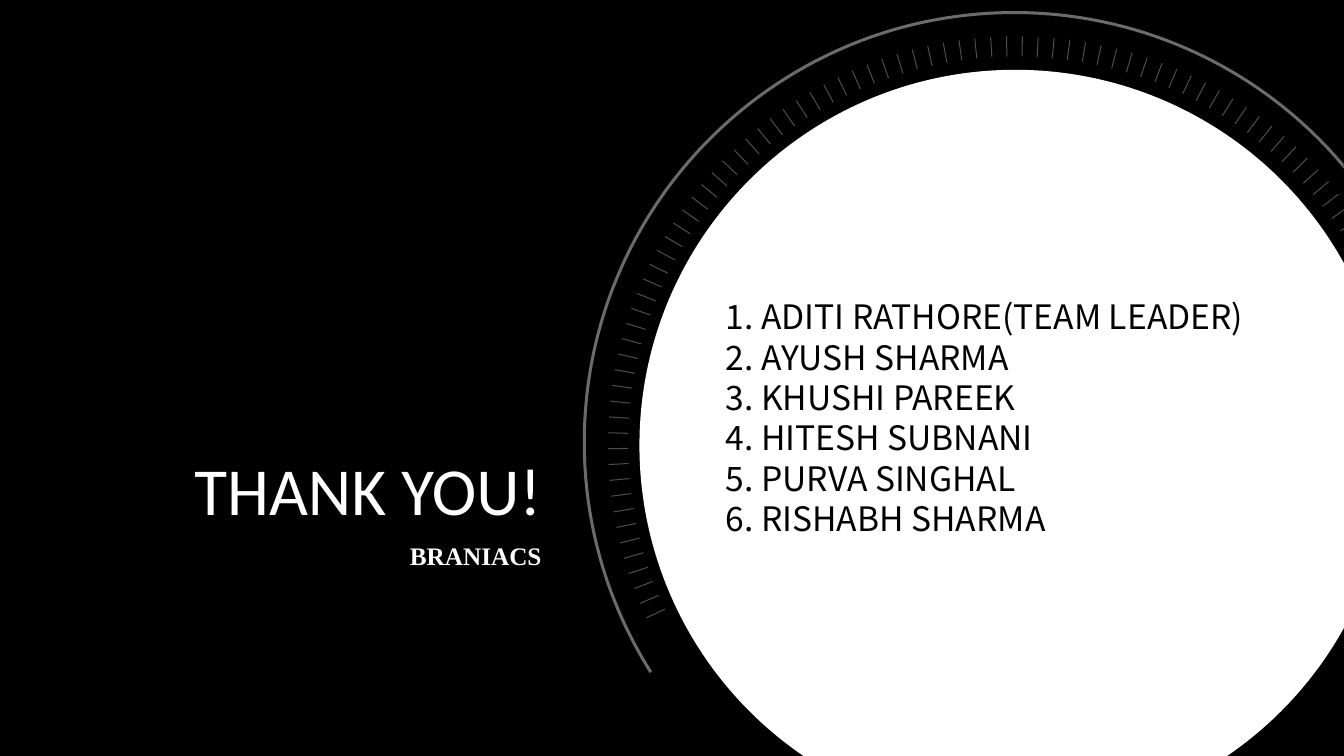
"""Build a closing slide with a thank-you title and a team list in a large dial."""
import math

import pptx
import pptx.dml.color
import pptx.enum.shapes
import pptx.enum.text
import pptx.oxml.ns
import pptx.util
from lxml import etree

Inches = pptx.util.Inches
Pt = pptx.util.Pt
qn = pptx.oxml.ns.qn
ALIGN = pptx.enum.text.PP_ALIGN
ANCHOR = pptx.enum.text.MSO_ANCHOR

WIDTH, HEIGHT = 13.33, 7.5
BLACK, WHITE = "000000", "FFFFFF"
TEAM = [
    "1. ADITI RATHORE(TEAM LEADER)",
    "2. AYUSH SHARMA",
    "3. KHUSHI PAREEK",
    "4. HITESH SUBNANI",
    "5. PURVA SINGHAL",
    "6. RISHABH SHARMA",
]
TITLE = dict(lines=["THANK YOU!"], box=(0.53, 2.23, 4.94, 3.08), font="Calibri", size=48,
             color=WHITE, align=ALIGN.RIGHT, anchor=ANCHOR.BOTTOM, spacing=0.9)
SUBTITLE = dict(lines=["BRANIACS"], box=(0.53, 5.31, 4.94, 1), font="Times New Roman", size=18,
                color=WHITE, align=ALIGN.RIGHT, bold=True)
MEMBERS = dict(lines=TEAM, box=(7.1, 2.89, 6.6, 2.52), font="Noto Sans CJK JP", size=24,
               color=BLACK)

DISC = dict(center=(10.07, 4.42),
            arcs=[(3.7, [-147.04, -90, 0, 62.5]), (3.7, [117.4, 147.03])])
RING = dict(center=(10.06, 4.39),
            arcs=[(4.28, [-122.3, -90, 0, 49.75]), (4.25, [50.27, 0, -90, -122.3])])
TICKS = dict(center=(10.08, 4.41), outer=4.05, inner=3.85, first=0.85, step=2.23,
             indexes=range(-52, 26))


def rgb(color):
    return pptx.dml.color.RGBColor.from_string(color)


def paint(fill, color, opacity=100):
    fill.solid()
    fill.fore_color.rgb = rgb(color)
    if opacity < 100:
        element = fill._xPr.find(".//" + qn("a:srgbClr"))
        etree.SubElement(element, qn("a:alpha"), val=str(opacity * 1000))


def polar(center, radius, degrees):
    angle = math.radians(degrees)
    return center[0] + radius * math.sin(angle), center[1] - radius * math.cos(angle)


def curve(center, radius, start, end):
    """Return the two control points and the end point of one Bezier arc."""
    sweep = math.radians(end - start)
    reach = 4 / 3 * math.tan(sweep / 4)
    stretched = radius * math.hypot(1, reach)
    turn = math.degrees(math.atan(reach))
    return [polar(center, stretched, start + turn), polar(center, stretched, end - turn),
            polar(center, radius, end)]


def add_outline(slide, center, arcs, opacity=100):
    corners, curves = [], []
    for radius, angles in arcs:
        corners += [polar(center, radius, angle) for angle in angles]
        curves += [None] + [curve(center, radius, *pair) for pair in zip(angles, angles[1:])]
    corners = [(Inches(x), Inches(y)) for x, y in corners]
    builder = slide.shapes.build_freeform(*corners[0])
    builder.add_line_segments(corners[1:], close=True)
    shape = builder.convert_to_shape()
    segments = list(shape._element.iter(qn("a:lnTo")))
    for segment, points in zip(segments, curves[1:]):
        if points:
            bezier = etree.Element(qn("a:cubicBezTo"))
            for x, y in points:
                etree.SubElement(bezier, qn("a:pt"), x=str(Inches(x) - shape.left),
                                 y=str(Inches(y) - shape.top))
            segment.getparent().replace(segment, bezier)
    shape.shadow.inherit = False
    paint(shape.fill, WHITE, opacity)
    shape.line.fill.background()
    return shape


def add_ticks(slide):
    group = slide.shapes.add_group_shape()
    for index in TICKS["indexes"]:
        angle = TICKS["first"] + TICKS["step"] * index
        x1, y1 = polar(TICKS["center"], TICKS["outer"], angle)
        x2, y2 = polar(TICKS["center"], TICKS["inner"], angle)
        if x1 > WIDTH:
            y1 = y2 + (y1 - y2) * (WIDTH - x2) / (x1 - x2)
            x1 = WIDTH
        tick = group.shapes.add_connector(
            pptx.enum.shapes.MSO_CONNECTOR.STRAIGHT, *map(Inches, (x1, y1, x2, y2)))
        paint(tick.line.fill, WHITE, 30)
        tick.line.width = Pt(0.75)
        etree.SubElement(tick._element.spPr, qn("a:effectLst"))


def add_text(slide, lines, box, font, size, color, align=ALIGN.LEFT, anchor=ANCHOR.TOP,
             spacing=None, bold=False):
    frame = slide.shapes.add_textbox(*map(Inches, box)).text_frame
    frame.word_wrap = True
    frame.vertical_anchor = anchor
    frame.text = "\n".join(lines)
    for paragraph in frame.paragraphs:
        paragraph.alignment = align
        paragraph.line_spacing = spacing
        paragraph.font.name = font
        paragraph.font.size = Pt(size)
        paragraph.font.bold = bold
        paragraph.font.color.rgb = rgb(color)


def main():
    presentation = pptx.Presentation()
    presentation.slide_width = Inches(WIDTH)
    presentation.slide_height = Inches(HEIGHT)
    slide = presentation.slides.add_slide(presentation.slide_layouts[6])
    paint(slide.background.fill, BLACK)
    add_text(slide, **TITLE)
    add_text(slide, **SUBTITLE)
    disc = add_outline(slide, **DISC)
    paint(disc.line.fill, WHITE)
    disc.line.width = Pt(4)
    add_outline(slide, **RING, opacity=42)
    add_ticks(slide)
    add_text(slide, **MEMBERS)
    presentation.save("out.pptx")


if __name__ == "__main__":
    main()
